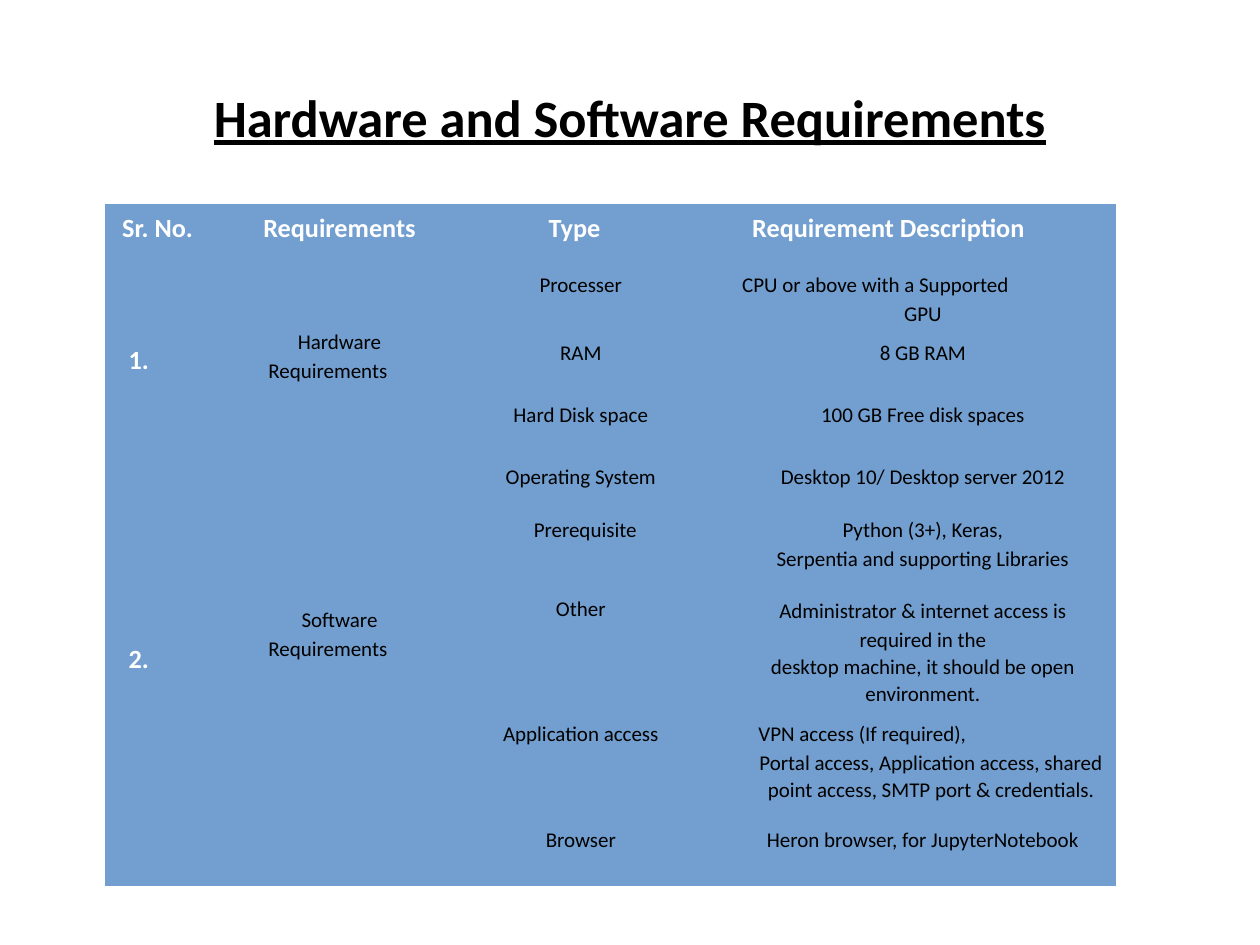
from pptx import Presentation
from pptx.dml.color import RGBColor
from pptx.enum.text import MSO_ANCHOR, PP_ALIGN
from pptx.oxml.ns import qn
from pptx.util import Inches, Pt


def color(code):
    return RGBColor.from_string(code)


def style(para, size, code, bold):
    """Set the font of a paragraph."""
    font = para.font
    font.name, font.size, font.bold = "Calibri", Pt(size), bold
    font.color.rgb = color(code)


NO_GRID = "{2D5ABB26-0587-4C30-8999-92F81FD0307C}"
widths = [1.1, 1.5, 2.36, 3.07]
heights = [0.48, 0.54, 0.49, 0.49, 0.42, 0.63, 0.99, 0.84, 0.53]
rows = [
    ["Sr. No.", "Requirements", "Type", "Requirement Description"],
    ["1.", "Hardware\nRequirements", "Processer", "CPU or above with a Supported\nGPU"],
    ["", "", "RAM", "8 GB RAM"],
    ["", "", "Hard Disk space", "100 GB Free disk spaces"],
    ["2.", "Software\nRequirements", "Operating System", "Desktop 10/ Desktop server 2012"],
    ["", "", "Prerequisite", "Python (3+), Keras,\nSerpentia and supporting Libraries"],
    ["", "", "Other", "Administrator & internet access is required in the\n"
     "desktop machine, it should be open environment."],
    ["", "", "Application access", "VPN access (If required),\n"
     "Portal access, Application access, shared point access, SMTP port & credentials."],
    ["", "", "Browser", "Heron browser, for JupyterNotebook"],
]
# Left-aligned paragraphs by (row, column, paragraph), with their indents
lefts = {
    (0, 0, 0): 0.04, (0, 1, 0): 0.06, (0, 3, 0): 0.08,
    (1, 0, 0): 0.09, (1, 1, 1): 0.1, (1, 3, 0): 0,
    (4, 0, 0): 0.09, (4, 1, 1): 0.1, (7, 3, 0): 0.13,
}
# Centred paragraphs that are indented
shifts = {(1, 1, 0): 0.03, (4, 1, 0): 0.03, (5, 2, 0): 0.07, (7, 3, 1): 0.13}
# Bottom margins that lift the text of the merged cells
lifts = {(1, 0): 0.07, (1, 1): 0.12, (4, 0): 0.25, (4, 1): 0.64}

prs = Presentation()
prs.slide_width, prs.slide_height = Inches(10), Inches(7.5)
slide = prs.slides.add_slide(prs.slide_layouts[5])

title = slide.shapes.title
title.left, title.top = Inches(0.5), Inches(0.3)
title.width, title.height = Inches(9), Inches(1.25)
title.text_frame.text = "Hardware and Software Requirements"
title.text_frame.vertical_anchor = MSO_ANCHOR.MIDDLE
head = title.text_frame.paragraphs[0]
head.alignment = PP_ALIGN.CENTER
style(head, 30, "000000", True)
head.font.underline = True

frame = slide.shapes.add_table(
    len(rows), len(widths), Inches(0.83), Inches(1.62),
    Inches(sum(widths)), Inches(sum(heights)))
table = frame.table
table.first_row = table.horz_banding = False
table._tbl.tblPr.find(qn("a:tableStyleId")).text = NO_GRID
for col, width in zip(table.columns, widths):
    col.width = Inches(width)
for row, height in zip(table.rows, heights):
    row.height = Inches(height)

for r, texts in enumerate(rows):
    for c, text in enumerate(texts):
        cell = table.cell(r, c)
        cell.fill.solid()
        cell.fill.fore_color.rgb = color("729FCF")
        cell.text = text
        strong = r == 0 or c == 0
        for p, para in enumerate(cell.text_frame.paragraphs):
            key = (r, c, p)
            para.alignment = PP_ALIGN.LEFT if key in lefts else PP_ALIGN.CENTER
            indent = lefts.get(key, shifts.get(key, 0))
            para._p.get_or_add_pPr().set("marL", str(Inches(indent)))
            para.line_spacing = 1.13 if key == (6, 3, 0) else 1.06
            para.space_after = Pt(1 if "\n" in text and r != 6 else 0)
            style(para, 15 if strong else 12, "FFFFFF" if strong else "000000", strong)

table.cell(0, 2).margin_right = Inches(0.2)
for (r, c), lift in lifts.items():
    cell = table.cell(r, c)
    cell.merge(table.cell(3 if r == 1 else 8, c))
    cell.vertical_anchor = MSO_ANCHOR.MIDDLE
    cell.margin_bottom = Inches(lift)

prs.save("out.pptx")
